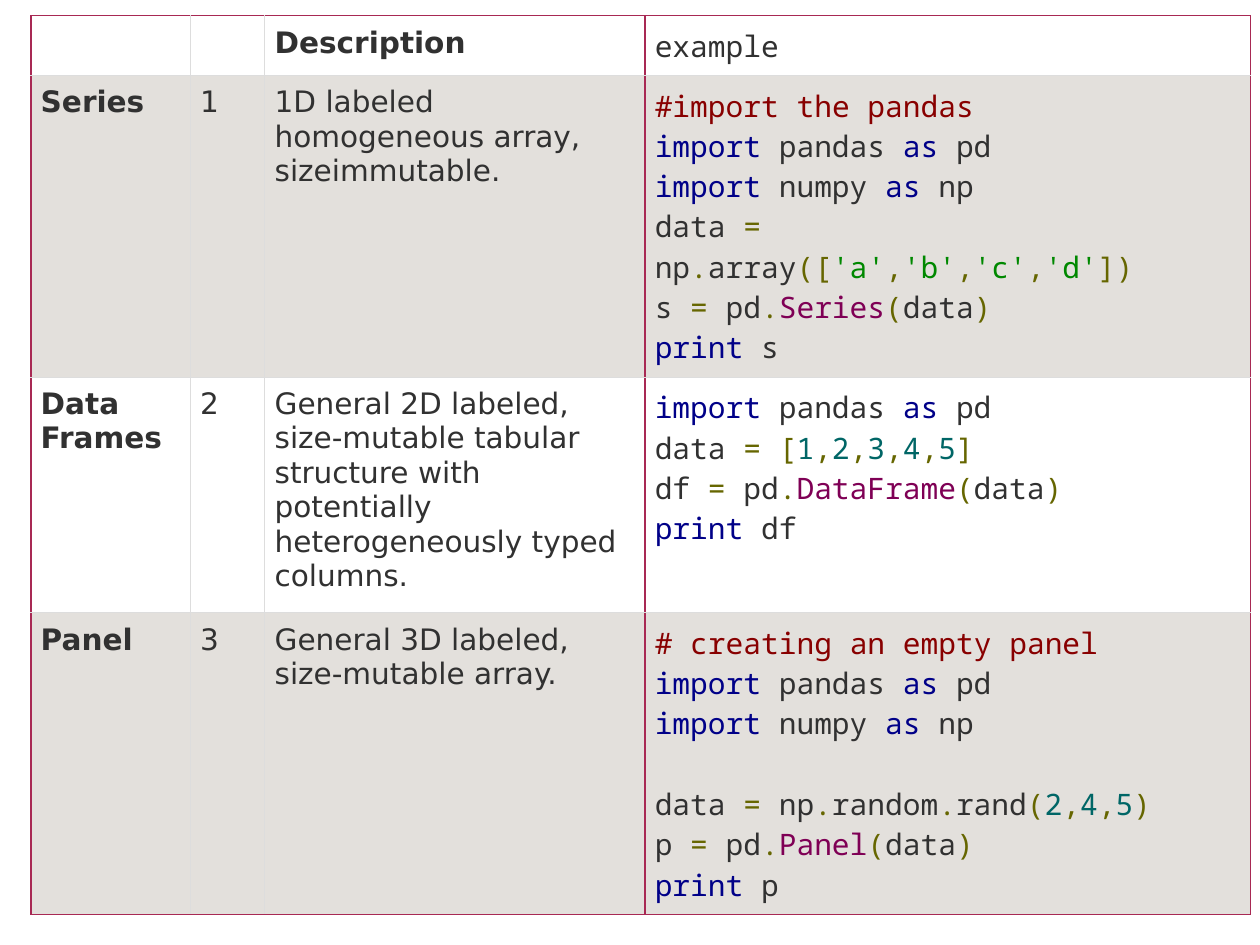
import lxml.etree
import pptx
import pptx.dml.color
import pptx.oxml.ns
import pptx.util
from pptx.util import Inches

THEME = {
    "text": "313131",
    "comment": "880000",
    "keyword": "000088",
    "symbol": "666600",
    "string": "008800",
    "number": "006666",
    "class": "7F0055",
    "band": "C9C3BA",
    "grid": "DDDDDD",
    "accent": "A82954",
    "body_font": "DejaVu Sans",
    "code_font": "Noto Sans Mono",
    "size": pptx.util.Pt(24),
    "code_line": pptx.util.Pt(32.7),
    "border": pptx.util.Pt(1),
}
KEYWORDS = {"import", "as", "print"}
CLASSES = {"Series", "DataFrame", "Panel"}
COLUMN_WIDTHS = [1.8, 0.84, 4.29, 6.83]
ROW_HEIGHTS = [0.64, 2.97, 2.66, 2.97]

IMPORT_PANDAS = "import| pandas |as| pd"
IMPORT_NUMPY = "import| numpy |as| np"
ROWS = [
    ("", "", "Description", ["example"]),
    ("Series", "1", "1D labeled homogeneous array, sizeimmutable.", [
        "#import the pandas",
        IMPORT_PANDAS,
        IMPORT_NUMPY,
        "data |=| np|.|array|([|'a'|,|'b'|,|'c'|,|'d'|])",
        "s |=| pd|.|Series|(|data|)",
        "print| s",
    ]),
    ("Data Frames", "2",
     "General 2D labeled, size-mutable tabular structure with "
     "potentially heterogeneously typed columns.", [
         IMPORT_PANDAS,
         "data |= [|1|,|2|,|3|,|4|,|5|]",
         "df |=| pd|.|DataFrame|(|data|)",
         "print| df",
     ]),
    ("Panel", "3", "General 3D labeled, size-mutable array.", [
        "# creating an empty panel",
        IMPORT_PANDAS,
        IMPORT_NUMPY,
        "",
        "data |=| np|.|random|.|rand|(|2|,|4|,|5|)",
        "p |=| pd|.|Panel|(|data|)",
        "print| p",
    ]),
]


def token_color(token):
    if token.startswith("#"):
        name = "comment"
    elif token.startswith("'"):
        name = "string"
    elif token in KEYWORDS:
        name = "keyword"
    elif token in CLASSES:
        name = "class"
    elif token.isdigit():
        name = "number"
    elif any(character.isalnum() for character in token):
        name = "text"
    else:
        name = "symbol"
    return pptx.dml.color.RGBColor.from_string(THEME[name])


def add_color(parent, color):
    fill = lxml.etree.SubElement(parent, pptx.oxml.ns.qn("a:solidFill"))
    return lxml.etree.SubElement(fill, pptx.oxml.ns.qn("a:srgbClr"), val=color)


presentation = pptx.Presentation()
presentation.slide_width = Inches(14.22)
presentation.slide_height = Inches(10.67)
slide = presentation.slides.add_slide(presentation.slide_layouts[6])

table = slide.shapes.add_table(
    len(ROWS), len(COLUMN_WIDTHS),
    Inches(0.35), Inches(0.18), Inches(13.77), Inches(9.24)).table
table.first_row = False
table.horz_banding = False
for column, width in zip(table.columns, COLUMN_WIDTHS):
    column.width = Inches(width)
for row, height in zip(table.rows, ROW_HEIGHTS):
    row.height = Inches(height)

last_row = len(ROWS) - 1
last_column = len(COLUMN_WIDTHS) - 1
for row_index, row_content in enumerate(ROWS):
    for column_index, content in enumerate(row_content):
        cell = table.cell(row_index, column_index)
        cell.margin_left = cell.margin_right = Inches(0.11)
        cell.margin_top = cell.margin_bottom = Inches(0.11)

        properties = cell._tc.get_or_add_tcPr()
        accented_sides = {
            "lnL": column_index in (0, last_column),
            "lnR": column_index >= last_column - 1,
            "lnT": row_index == 0,
            "lnB": row_index == last_row,
        }
        for side, accented in accented_sides.items():
            border = lxml.etree.SubElement(
                properties, pptx.oxml.ns.qn(f"a:{side}"), w=str(THEME["border"]))
            add_color(border, THEME["accent" if accented else "grid"])
        if row_index % 2:
            band = add_color(properties, THEME["band"])
            lxml.etree.SubElement(band, pptx.oxml.ns.qn("a:alpha"), val="50000")
        else:
            cell.fill.background()

        if column_index < last_column:
            paragraph = cell.text_frame.paragraphs[0]
            paragraph.text = content
            paragraph.font.name = THEME["body_font"]
            paragraph.font.size = THEME["size"]
            paragraph.font.bold = row_index == 0 or column_index == 0
            paragraph.font.color.rgb = pptx.dml.color.RGBColor.from_string(THEME["text"])
            continue

        paragraph = cell.text_frame.paragraphs[0]
        for line_index, line in enumerate(content):
            if not line:
                continue
            if line_index:
                paragraph = cell.text_frame.add_paragraph()
                if not content[line_index - 1]:
                    paragraph.space_before = THEME["code_line"]
            paragraph.font.name = THEME["code_font"]
            paragraph.font.size = THEME["size"]
            paragraph.font.bold = False
            for token in line.split("|"):
                run = paragraph.add_run()
                run.text = token
                run.font.color.rgb = token_color(token)

presentation.save("out.pptx")
